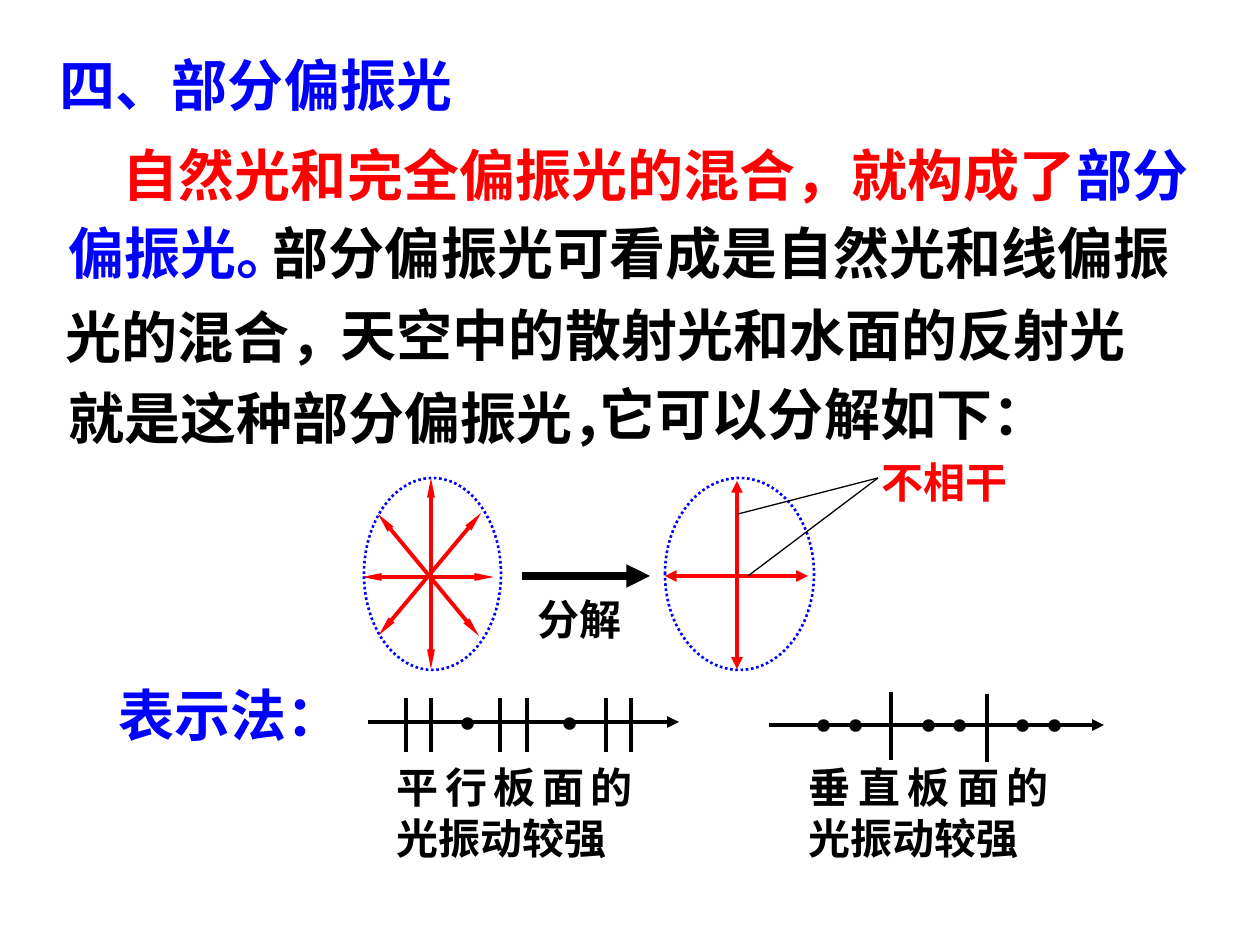
from lxml.etree import SubElement
from pptx import Presentation
from pptx.dml.color import RGBColor
from pptx.enum.dml import MSO_LINE
from pptx.enum.shapes import MSO_CONNECTOR, MSO_SHAPE
from pptx.enum.text import MSO_AUTO_SIZE, PP_ALIGN
from pptx.oxml.ns import qn
from pptx.util import Emu, Pt

BLUE = RGBColor(0x00, 0x00, 0xFF)
RED = RGBColor(0xFF, 0x00, 0x00)
BLACK = RGBColor(0x00, 0x00, 0x00)
FONT = "Times New Roman"
SCALE = 914400 / 126


def px(n):
    return Emu(round(n * SCALE))


def add_text(s, x, y, w, h, *runs, size=32, color=BLACK, justify=False,
             indent=0, inset=(13, 6), grow=True):
    tf = s.shapes.add_textbox(px(x), px(y), px(w), px(h)).text_frame
    tf.word_wrap = True
    tf.auto_size = MSO_AUTO_SIZE.SHAPE_TO_FIT_TEXT if grow else MSO_AUTO_SIZE.NONE
    tf.margin_left = tf.margin_right = px(inset[0])
    tf.margin_top = tf.margin_bottom = px(inset[1])
    p = tf.paragraphs[0]
    p.alignment = PP_ALIGN.JUSTIFY if justify else PP_ALIGN.LEFT
    if indent:
        p._p.get_or_add_pPr().set("indent", str(px(indent)))
    for run in runs:
        text, run_color = run if isinstance(run, tuple) else (run, color)
        r = p.add_run()
        r.text = text
        r.font.name = FONT
        r.font.size = Pt(size)
        r.font.bold = True
        r.font.color.rgb = run_color


def add_line(s, x1, y1, x2, y2, color=BLACK, width=2.25, ends=(),
             head_width="med", head_length="med"):
    c = s.shapes.add_connector(MSO_CONNECTOR.STRAIGHT, px(x1), px(y1), px(x2), px(y2))
    c.line.color.rgb = color
    c.line.width = Pt(width)
    ln = c.line._get_or_add_ln()
    for end in ends:
        SubElement(ln, qn(f"a:{end}"), type="triangle", w=head_width, len=head_length)
    SubElement(c._element.spPr, qn("a:effectLst"))


def add_light_circle(s, x, y, w, h, arrows, **head):
    for x1, y1, x2, y2 in arrows:
        add_line(s, x + x1, y + y1, x + x2, y + y2, RED,
                 ends=("headEnd", "tailEnd"), **head)
    sp = s.shapes.add_shape(MSO_SHAPE.OVAL, px(x), px(y), px(w), px(h))
    sp.shadow.inherit = False
    sp.fill.background()
    sp.line.color.rgb = BLUE
    sp.line.width = Pt(1.5)
    sp.line.dash_style = MSO_LINE.ROUND_DOT


def add_definition(s, x, y):
    add_text(s, x + 15, y, 1223, 81, ("自然光和完全偏振光的混合，就构成了", RED),
             ("部分", BLUE), justify=True, indent=42)
    for dx, dy, w, text, color in (
        (207, 77, 1000, "部分偏振光可看成是自然光和线偏振", BLACK),
        (0, 161, 635, "光的混合，", BLACK),
        (2, 77, 273, "偏振光。", BLUE),
        (2, 242, 800, "就是这种部分偏振光，", BLACK),
        (275, 159, 893, "天空中的散射光和水面的反射光", BLACK),
        (534, 239, 528, "它可以分解如下：", BLACK),
    ):
        add_text(s, x + dx, y + dy, w, 81, text, color=color)


def add_decomposition(s, x, y):
    add_light_circle(s, x, y, 137, 192,
                     [(-2, 99, 130, 99), (67, 0, 67, 191),
                      (15, 157, 117, 35), (115, 158, 14, 36)],
                     head_width="sm", head_length="lg")
    add_light_circle(s, x + 301, y, 149, 192, [(0, 98, 143, 98), (72, 3, 72, 191)])
    add_line(s, x + 158, y + 98, x + 286, y + 98, width=4.5, ends=("tailEnd",))
    add_text(s, x + 161, y + 110, 123, 63, "分解", size=24)
    for dx, dy in ((374, 36), (384, 98)):
        add_line(s, x + dx, y + dy, x + 514, y, width=0.75)
    add_text(s, x + 505, y - 27, 179, 63, "不相干", size=24, color=RED)


def add_notation(s, x, y, length, bars, bar_height, dots, caption, caption_box):
    add_line(s, x, y, x + length, y, ends=("tailEnd",))
    for dx, dy in bars:
        add_line(s, x + dx, y + dy, x + dx, y + dy + bar_height, width=2.5)
    for dx in dots:
        add_text(s, x + dx, y - 51, 50, 45, "·", size=44, justify=True,
                 inset=(1, 1), grow=False)
    dx, dy, w, h = caption_box
    add_text(s, x + dx, y + dy, w, h, caption, size=24, justify=True, grow=False)


def main():
    prs = Presentation()
    prs.slide_width, prs.slide_height = px(1260), px(945)
    s = prs.slides.add_slide(prs.slide_layouts[6])
    add_text(s, 47, 44, 473, 81, "四、部分偏振光", color=BLUE, justify=True)
    add_definition(s, 53, 135)
    add_decomposition(s, 364, 478)
    add_text(s, 105, 674, 294, 81, "表示法：", color=BLUE)
    add_notation(s, 368, 722, 311, [(dx, -24) for dx in (38, 63, 132, 159, 238, 263)],
                 54, (86, 188), "平行板面的光振动较强", (16, 34, 262, 115))
    add_notation(s, 769, 725, 335, [(122, -33), (218, -31)], 68,
                 (41, 73, 146, 177, 240, 272), "垂直板面的光振动较强",
                 (27, 31, 266, 113))
    prs.save("out.pptx")


if __name__ == "__main__":
    main()
